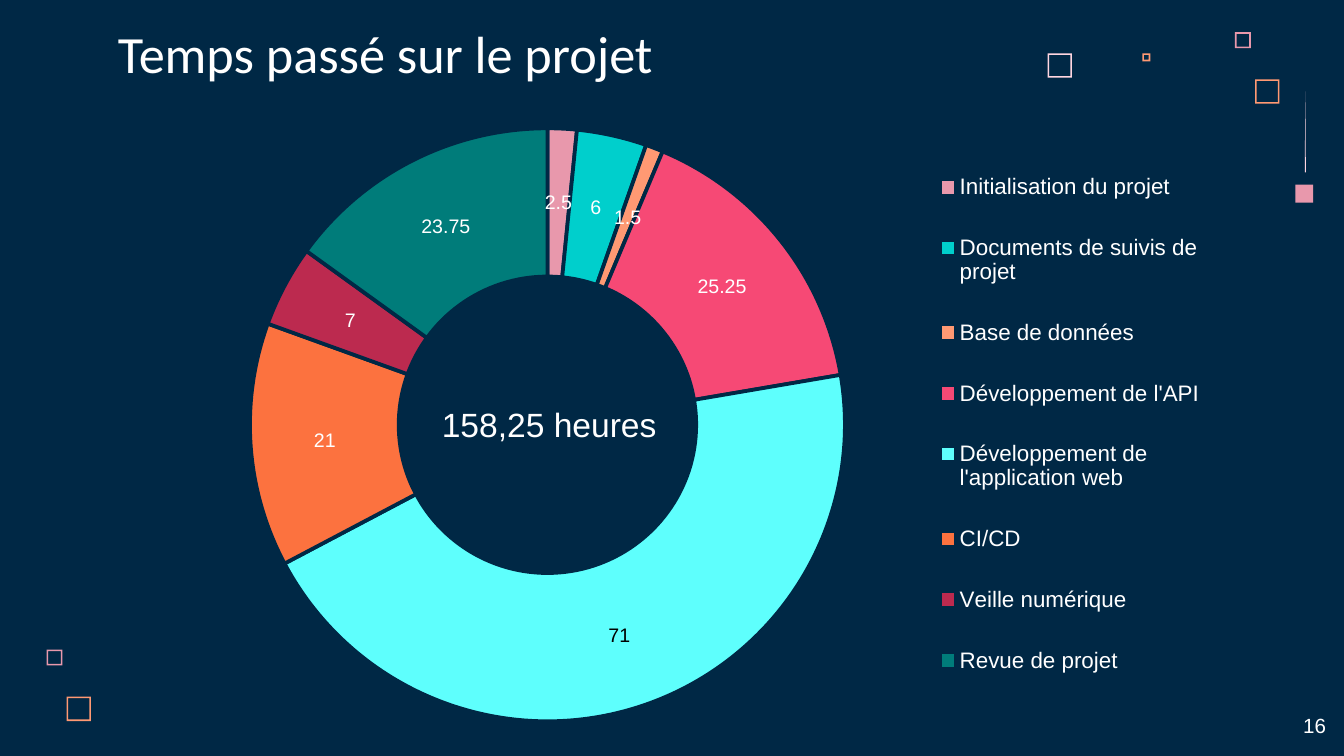
from lxml import etree
from pptx import Presentation
from pptx.chart.data import CategoryChartData
from pptx.dml.color import RGBColor
from pptx.enum.chart import XL_CHART_TYPE, XL_LEGEND_POSITION
from pptx.enum.shapes import MSO_SHAPE
from pptx.enum.text import MSO_ANCHOR, PP_ALIGN
from pptx.oxml.ns import qn
from pptx.util import Cm, Pt

NAVY = RGBColor(0x00, 0x28, 0x45)
WHITE = RGBColor(0xFF, 0xFF, 0xFF)
BLACK = RGBColor(0x00, 0x00, 0x00)
PALE = RGBColor(0xFF, 0xD6, 0xE1)
PINK = RGBColor(0xE8, 0x98, 0xAC)
PEACH = RGBColor(0xFF, 0x99, 0x73)
TEAL = RGBColor(0x00, 0xCF, 0xCC)
ROSE = RGBColor(0xF6, 0x49, 0x75)
CYAN = RGBColor(0x5E, 0xFF, 0xFD)
ORANGE = RGBColor(0xFC, 0x72, 0x3F)
WINE = RGBColor(0xBC, 0x2A, 0x4F)
GREEN = RGBColor(0x00, 0x7C, 0x7A)


def style(font, size, color=WHITE, name="Arial"):
    for key, value in {"size": Pt(size), "name": name, "bold": False}.items():
        setattr(font, key, value)
    font.color.rgb = color


def place(x, y, w, h, inner=False):
    """Return a manual chart layout, in fractions of the chart area."""
    layout = etree.Element(qn("c:layout"))
    manual = etree.SubElement(layout, qn("c:manualLayout"))
    parts = {"xMode": "edge", "yMode": "edge", "x": x, "y": y, "w": w, "h": h}
    if inner:
        parts = {"layoutTarget": "inner", **parts}
    for tag, value in parts.items():
        etree.SubElement(manual, qn("c:" + tag)).set("val", str(value))
    return layout


deck = Presentation()
deck.slide_width, deck.slide_height = Cm(25.4), Cm(14.29)
slide = deck.slides.add_slide(deck.slide_layouts[5])
slide.background.fill.solid()
slide.background.fill.fore_color.rgb = NAVY
shapes = slide.shapes

# Decorative squares: left, top, side, colour
deco = []
for x, y, side, color in [
    (19.8, 1.01, 0.46, PALE),
    (23.34, 0.61, 0.3, PINK),
    (21.59, 1.01, 0.15, PEACH),
    (23.72, 1.5, 0.46, PEACH),
    (0.88, 12.28, 0.3, PINK),
    (1.26, 13.17, 0.46, PEACH),
]:
    frame = shapes.add_shape(MSO_SHAPE.FRAME, Cm(x), Cm(y), Cm(side), Cm(side))
    frame.adjustments[0] = 0.03 / side
    deco.append((frame, color))
block = shapes.add_shape(MSO_SHAPE.RECTANGLE, Cm(24.48), Cm(3.49), Cm(0.34), Cm(0.34))
deco.append((block, PINK))
pen = shapes.build_freeform(Cm(24.67), Cm(1.73))
pen.add_line_segments([(Cm(24.66), Cm(3.26)), (Cm(24.68), Cm(3.26))])
deco.append((pen.convert_to_shape(), PALE))
for shape, color in deco:
    shape.shadow.inherit = False
    shape.fill.solid()
    shape.fill.fore_color.rgb = color
    shape.line.fill.background()

# Title
title = shapes.title
box = {"left": Cm(1.98), "top": Cm(0.15), "width": Cm(21.41), "height": Cm(1.6)}
for key, value in box.items():
    setattr(title, key, value)
frame = title.text_frame
frame.text = "Temps passé sur le projet"
frame.vertical_anchor = MSO_ANCHOR.TOP
for side in ("left", "top", "right", "bottom"):
    setattr(frame, "margin_" + side, Cm(0.25))
frame.paragraphs[0].alignment = PP_ALIGN.LEFT
style(frame.paragraphs[0].runs[0].font, 28, name="Calibri")

# Doughnut chart
tasks = [
    ("Initialisation du projet", 2.5, PINK),
    ("Documents de suivis de projet", 6, TEAL),
    ("Base de données", 1.5, PEACH),
    ("Développement de l'API", 25.25, ROSE),
    ("Développement de l'application web", 71, CYAN),
    ("CI/CD", 21, ORANGE),
    ("Veille numérique", 7, WINE),
    ("Revue de projet", 23.75, GREEN),
]
data = CategoryChartData()
data.categories = [task[0] for task in tasks]
data.add_series("Series 1", [task[1] for task in tasks])
chart = shapes.add_chart(
    XL_CHART_TYPE.DOUGHNUT, Cm(3.84), Cm(2.39), Cm(19.28), Cm(11.28), data
).chart
style(chart.font, 10)
chart.has_title = False
chart.has_legend = True
legend = chart.legend
legend.position = XL_LEGEND_POSITION.RIGHT
legend.include_in_layout = False
style(legend.font, 12)

plot = chart.plots[0]
plot.vary_by_categories = True
plot.has_data_labels = True
labels = plot.series[0].data_labels
for key in ("value", "percentage", "category_name", "series_name", "legend_key"):
    setattr(labels, "show_" + key, key == "value")
style(labels.font, 10.5)
for i, (_, _, color) in enumerate(tasks):
    point = plot.series[0].points[i]
    point.format.fill.solid()
    point.format.fill.fore_color.rgb = color
    point.format.line.color.rgb = NAVY
    point.format.line.width = Pt(2)
    if color == CYAN:
        style(point.data_label.font, 10.5, BLACK)

area = chart._chartSpace.chart.plotArea
for old in area.findall(qn("c:layout")):
    area.remove(old)
area.insert(0, place(0.002, 0.003, 0.671, 0.997, inner=True))
area.find(".//" + qn("c:holeSize")).set("val", "75")
key = legend._element
for old in key.findall(qn("c:layout")):
    key.remove(old)
key.find(qn("c:legendPos")).addnext(place(0.71, 0.02, 0.28, 0.96))

# Page number and total
for text, x, y, w, h, size, wrap in [
    ("16", 24.38, 13.36, 1.02, 0.74, 11, True),
    ("158,25 heures", 8.1, 7.52, 4.6, 1.02, 18, False),
]:
    frame = shapes.add_textbox(Cm(x), Cm(y), Cm(w), Cm(h)).text_frame
    frame.word_wrap = wrap
    frame.text = text
    style(frame.paragraphs[0].runs[0].font, size)

deck.save("out.pptx")
